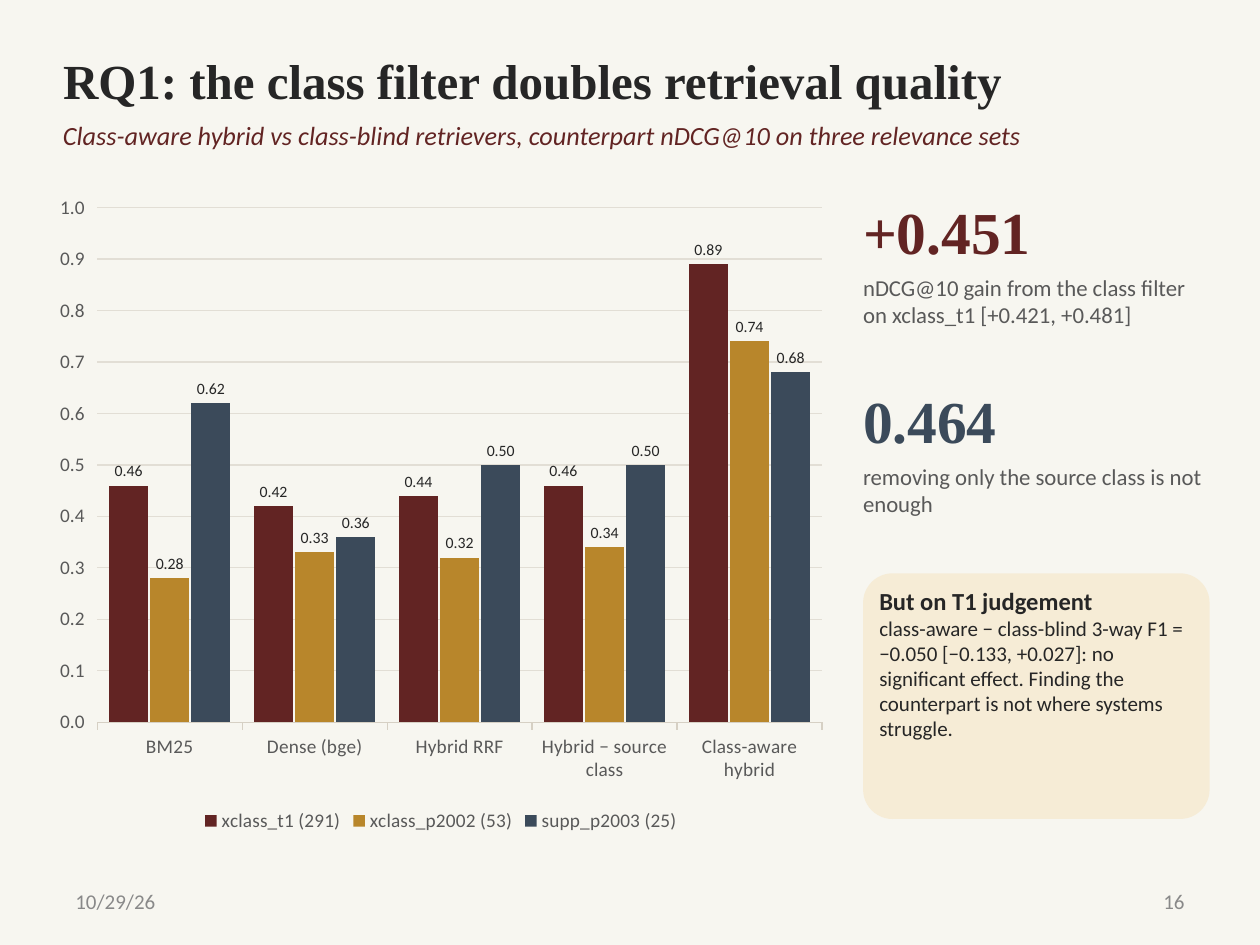
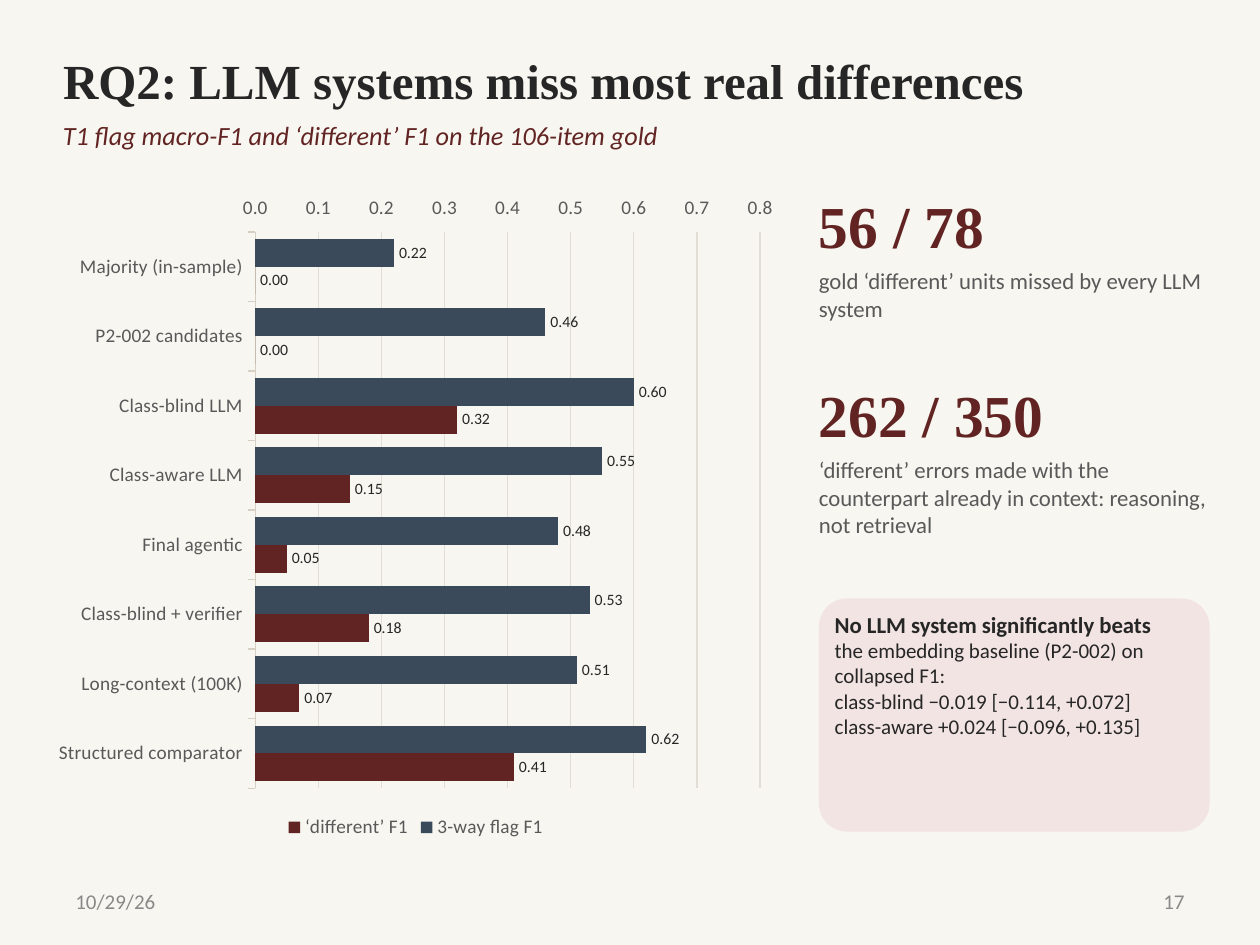
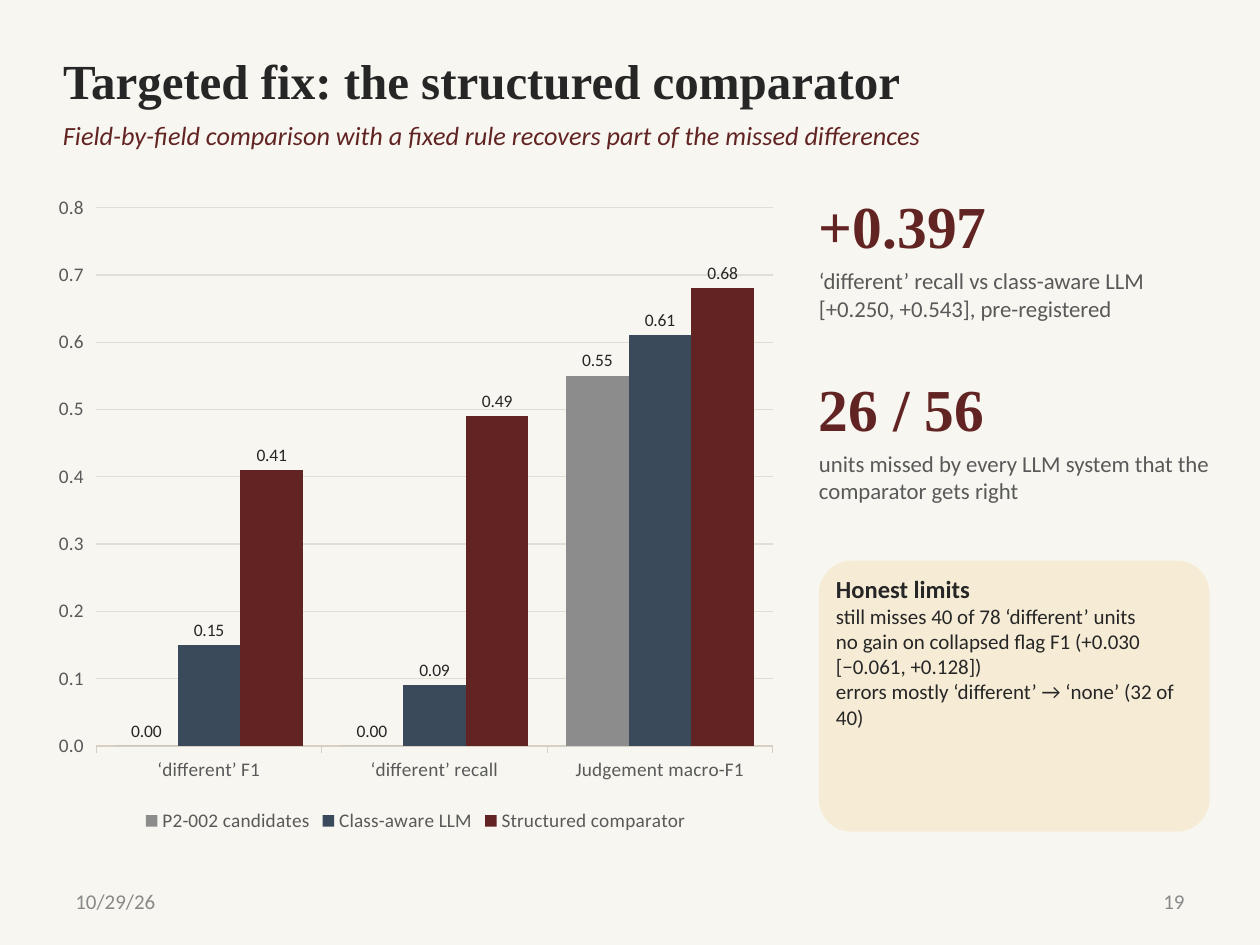
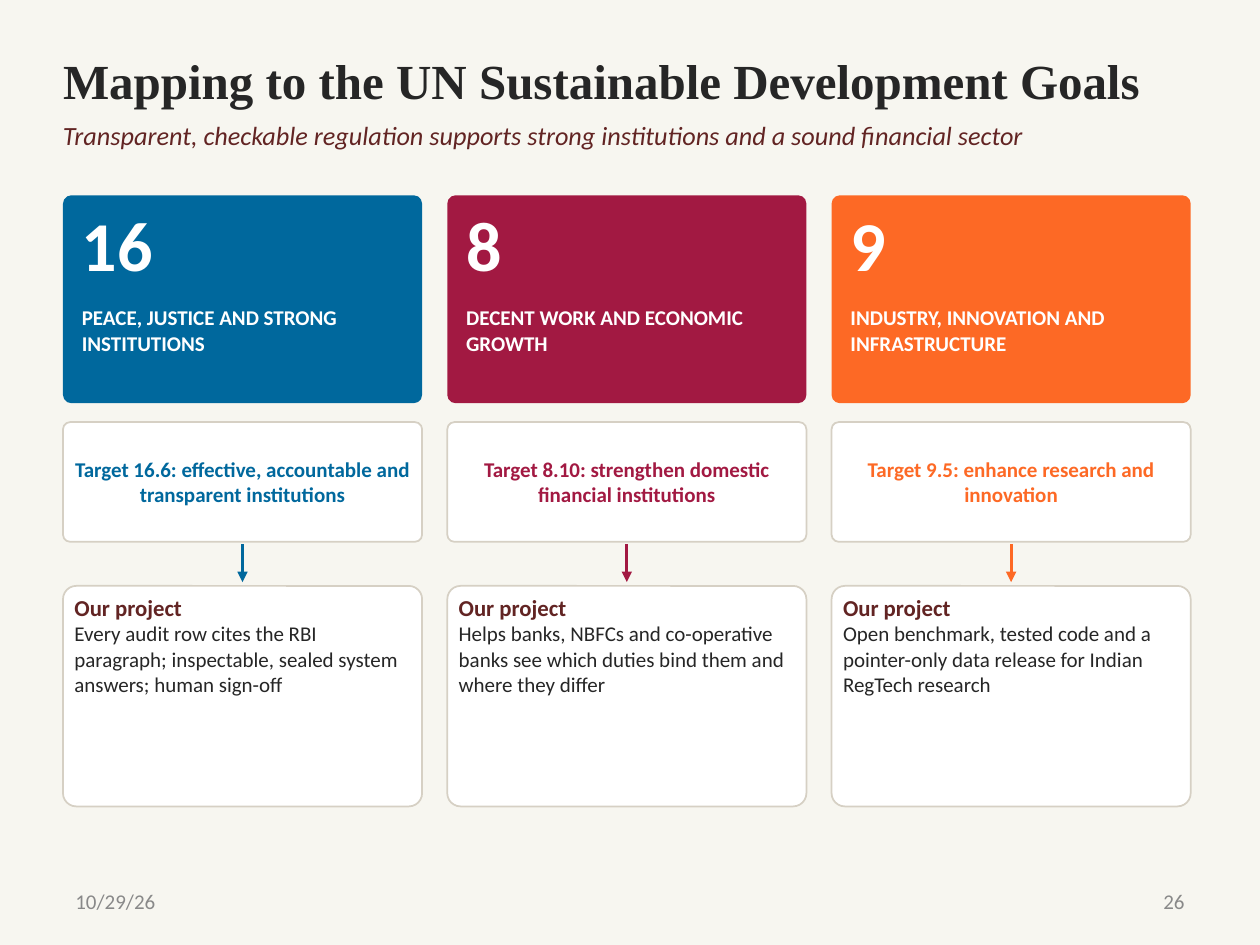
from dataclasses import dataclass

import lxml.etree
import pptx
import pptx.chart.data
import pptx.dml.color
import pptx.enum.chart
import pptx.enum.shapes
import pptx.enum.text
import pptx.oxml.ns
import pptx.util

Inches = pptx.util.Inches
Pt = pptx.util.Pt
RGBColor = pptx.dml.color.RGBColor
Align = pptx.enum.text.PP_ALIGN
Anchor = pptx.enum.text.MSO_ANCHOR
AutoSize = pptx.enum.text.MSO_AUTO_SIZE
ChartType = pptx.enum.chart.XL_CHART_TYPE

PAPER = RGBColor(0xF7, 0xF6, 0xF0)
INK = RGBColor(0x26, 0x26, 0x26)
MUTED = RGBColor(0x59, 0x59, 0x59)
FOOTER_GRAY = RGBColor(0x89, 0x89, 0x89)
BAR_GRAY = RGBColor(0x8C, 0x8C, 0x8C)
MAROON = RGBColor(0x62, 0x24, 0x23)
GOLD = RGBColor(0xB8, 0x86, 0x2B)
SLATE = RGBColor(0x3B, 0x4A, 0x5A)
CREAM = RGBColor(0xF6, 0xEC, 0xD6)
ROSE = RGBColor(0xF1, 0xE4, 0xE2)
BORDER = RGBColor(0xD6, 0xD0, 0xC4)
GRID = RGBColor(0xE2, 0xDE, 0xD5)
WHITE = RGBColor(0xFF, 0xFF, 0xFF)
SDG_BLUE = RGBColor(0x00, 0x68, 0x9D)
SDG_RED = RGBColor(0xA2, 0x19, 0x42)
SDG_ORANGE = RGBColor(0xFD, 0x69, 0x25)

SANS = "Calibri"
SERIF = "Times New Roman"
DATE = "10/29/26"
NO_INSETS = (0, 0)
CARD_INSETS = (0.06, 0.03)
FOOTER_INSETS = (0.1, 0.05)


@dataclass(frozen=True)
class Style:
    size: float
    color: RGBColor
    bold: bool = False
    italic: bool = False
    font: str = SANS


@dataclass(frozen=True)
class Box:
    left: float
    top: float
    width: float
    height: float

    def lengths(self) -> tuple:
        return tuple(Inches(v) for v in (self.left, self.top, self.width, self.height))


@dataclass(frozen=True)
class Series:
    name: str
    values: tuple
    color: RGBColor


@dataclass(frozen=True)
class ChartSpec:
    kind: ChartType
    box: Box
    categories: tuple
    series: tuple
    maximum: float
    gap: int = 60
    overlap: int = 0
    label_size: int = 9


@dataclass(frozen=True)
class Stat:
    top: float
    value: str
    caption: str
    color: RGBColor = MAROON


@dataclass(frozen=True)
class Callout:
    top: float
    height: float
    fill: RGBColor
    heading: str
    lines: tuple
    heading_size: int = 14


@dataclass(frozen=True)
class ResultSlide:
    number: int
    title: str
    subtitle: str
    chart: ChartSpec
    panel_left: float
    stats: tuple
    callout: Callout


@dataclass(frozen=True)
class Goal:
    number: str
    name: str
    target: str
    project: str
    color: RGBColor


TITLE = Style(28, INK, bold=True, font=SERIF)
SUBTITLE = Style(15, MAROON, italic=True)
FOOTER = Style(12, FOOTER_GRAY)
CAPTION = Style(13, MUTED)
BODY = Style(12, INK)

PANEL_RIGHT = 9.6

RESULTS = (
    ResultSlide(
        16,
        "RQ1: the class filter doubles retrieval quality",
        "Class-aware hybrid vs class-blind retrievers, counterpart nDCG@10 on three relevance sets",
        ChartSpec(
            ChartType.COLUMN_CLUSTERED,
            Box(0.35, 1.45, 6.3, 5.2),
            ("BM25", "Dense (bge)", "Hybrid RRF", "Hybrid − source class", "Class-aware hybrid"),
            (
                Series("xclass_t1 (291)", (0.46, 0.42, 0.44, 0.46, 0.89), MAROON),
                Series("xclass_p2002 (53)", (0.28, 0.33, 0.32, 0.34, 0.74), GOLD),
                Series("supp_p2003 (25)", (0.62, 0.36, 0.5, 0.5, 0.68), SLATE),
            ),
            maximum=1,
            overlap=-5,
        ),
        6.85,
        (
            Stat(1.55, "+0.451", "nDCG@10 gain from the class filter on xclass_t1 [+0.421, +0.481]"),
            Stat(3.05, "0.464", "removing only the source class is not enough", SLATE),
        ),
        Callout(
            4.55, 1.95, CREAM, "But on T1 judgement",
            ("class-aware − class-blind 3-way F1 = −0.050 [−0.133, +0.027]: no significant effect. "
             "Finding the counterpart is not where systems struggle.",),
        ),
    ),
    ResultSlide(
        17,
        "RQ2: LLM systems miss most real differences",
        "T1 flag macro-F1 and ‘different’ F1 on the 106-item gold",
        ChartSpec(
            ChartType.BAR_CLUSTERED,
            Box(0.35, 1.45, 5.9, 5.25),
            ("Majority (in-sample)", "P2-002 candidates", "Class-blind LLM", "Class-aware LLM",
             "Final agentic", "Class-blind + verifier", "Long-context (100K)", "Structured comparator"),
            (
                Series("3-way flag F1", (0.22, 0.46, 0.6, 0.55, 0.48, 0.53, 0.51, 0.62), SLATE),
                Series("‘different’ F1", (0, 0, 0.32, 0.15, 0.05, 0.18, 0.07, 0.41), MAROON),
            ),
            maximum=0.8,
            gap=50,
        ),
        6.5,
        (
            Stat(1.5, "56 / 78", "gold ‘different’ units missed by every LLM system"),
            Stat(3, "262 / 350", "‘different’ errors made with the counterpart already in context: "
                                 "reasoning, not retrieval"),
        ),
        Callout(
            4.75, 1.85, ROSE, "No LLM system significantly beats",
            ("the embedding baseline (P2-002) on collapsed F1:",
             "class-blind −0.019 [−0.114, +0.072]",
             "class-aware +0.024 [−0.096, +0.135]"),
            heading_size=13,
        ),
    ),
    ResultSlide(
        19,
        "Targeted fix: the structured comparator",
        "Field-by-field comparison with a fixed rule recovers part of the missed differences",
        ChartSpec(
            ChartType.COLUMN_CLUSTERED,
            Box(0.35, 1.45, 5.9, 5.2),
            ("‘different’ F1", "‘different’ recall", "Judgement macro-F1"),
            (
                Series("P2-002 candidates", (0, 0, 0.55), BAR_GRAY),
                Series("Class-aware LLM", (0.15, 0.09, 0.61), SLATE),
                Series("Structured comparator", (0.41, 0.49, 0.68), MAROON),
            ),
            maximum=0.8,
            label_size=10,
        ),
        6.5,
        (
            Stat(1.5, "+0.397", "‘different’ recall vs class-aware LLM [+0.250, +0.543], pre-registered"),
            Stat(2.95, "26 / 56", "units missed by every LLM system that the comparator gets right"),
        ),
        Callout(
            4.45, 2.15, CREAM, "Honest limits",
            ("still misses 40 of 78 ‘different’ units",
             "no gain on collapsed flag F1 (+0.030 [−0.061, +0.128])",
             "errors mostly ‘different’ → ‘none’ (32 of 40)"),
        ),
    ),
)

GOALS = (
    Goal("16", "PEACE, JUSTICE AND STRONG INSTITUTIONS",
         "Target 16.6: effective, accountable and transparent institutions",
         "Every audit row cites the RBI paragraph; inspectable, sealed system answers; human sign-off",
         SDG_BLUE),
    Goal("8", "DECENT WORK AND ECONOMIC GROWTH",
         "Target 8.10: strengthen domestic financial institutions",
         "Helps banks, NBFCs and co-operative banks see which duties bind them and where they differ",
         SDG_RED),
    Goal("9", "INDUSTRY, INNOVATION AND INFRASTRUCTURE",
         "Target 9.5: enhance research and innovation",
         "Open benchmark, tested code and a pointer-only data release for Indian RegTech research",
         SDG_ORANGE),
)
GOAL_LEFT, GOAL_STEP, GOAL_WIDTH = 0.5, 3.05, 2.85


def write(tf, lines, insets=NO_INSETS, align=Align.LEFT, anchor=Anchor.TOP) -> None:
    tf.word_wrap = True
    tf.vertical_anchor = anchor
    tf.margin_left = tf.margin_right = Inches(insets[0])
    tf.margin_top = tf.margin_bottom = Inches(insets[1])
    for i, (text, style) in enumerate(lines):
        p = tf.paragraphs[0] if i == 0 else tf.add_paragraph()
        p.alignment = align
        r = p.add_run()
        r.text = text
        r.font.name = style.font
        r.font.size = Pt(style.size)
        r.font.bold = style.bold
        r.font.italic = style.italic
        r.font.color.rgb = style.color


def add_text(s, box: Box, text: str, style: Style, **layout) -> None:
    sp = s.shapes.add_textbox(*box.lengths())
    write(sp.text_frame, [(text, style)], **layout)


def add_card(s, box: Box, fill: RGBColor, radius: float, border=None, lines=(), **layout) -> None:
    sp = s.shapes.add_shape(pptx.enum.shapes.MSO_SHAPE.ROUNDED_RECTANGLE, *box.lengths())
    sp.shadow.inherit = False
    sp.adjustments[0] = radius
    sp.fill.solid()
    sp.fill.fore_color.rgb = fill
    if border is None:
        sp.line.fill.background()
    else:
        sp.line.color.rgb = border
        sp.line.width = Pt(1)
    write(sp.text_frame, lines, CARD_INSETS, **layout)


def add_down_arrow(s, x: float, top: float, bottom: float, color: RGBColor) -> None:
    line = s.shapes.add_connector(
        pptx.enum.shapes.MSO_CONNECTOR.STRAIGHT, Inches(x), Inches(top), Inches(x), Inches(bottom))
    line.line.color.rgb = color
    line.line.width = Pt(1.75)
    qn = pptx.oxml.ns.qn
    props = line._element.spPr
    lxml.etree.SubElement(props.find(qn("a:ln")), qn("a:tailEnd"), type="triangle")
    lxml.etree.SubElement(props, qn("a:effectLst"))


def add_chart(s, spec: ChartSpec) -> None:
    data = pptx.chart.data.CategoryChartData()
    data.categories = spec.categories
    for series in spec.series:
        data.add_series(series.name, series.values)
    chart = s.shapes.add_chart(spec.kind, *spec.box.lengths(), data).chart
    chart.has_title = False
    chart.font.name = SANS
    chart.font.size = Pt(11)
    chart.font.color.rgb = MUTED
    chart.has_legend = True
    chart.legend.position = pptx.enum.chart.XL_LEGEND_POSITION.BOTTOM
    chart.legend.include_in_layout = False
    chart.legend.font.size = Pt(11)

    cat = chart.category_axis
    cat.has_major_gridlines = False
    cat.major_tick_mark = pptx.enum.chart.XL_TICK_MARK.OUTSIDE
    cat.format.line.color.rgb = BORDER
    cat.format.line.width = Pt(0.75)
    val = chart.value_axis
    val.minimum_scale, val.maximum_scale, val.major_unit = 0, spec.maximum, 0.1
    val.major_tick_mark = pptx.enum.chart.XL_TICK_MARK.OUTSIDE
    val.tick_labels.number_format = "0.0"
    val.tick_labels.number_format_is_linked = False
    val.format.line.fill.background()
    val.has_major_gridlines = True
    val.major_gridlines.format.line.color.rgb = GRID
    val.major_gridlines.format.line.width = Pt(0.75)
    if spec.kind == ChartType.BAR_CLUSTERED:
        cat.reverse_order = True
        val.tick_label_position = pptx.enum.chart.XL_TICK_LABEL_POSITION.LOW

    plot = chart.plots[0]
    plot.gap_width = spec.gap
    plot.overlap = spec.overlap
    plot.vary_by_categories = False
    for drawn, series in zip(plot.series, spec.series):
        drawn.format.fill.solid()
        drawn.format.fill.fore_color.rgb = series.color
        labels = drawn.data_labels
        labels.show_value = True
        labels.position = pptx.enum.chart.XL_LABEL_POSITION.OUTSIDE_END
        labels.number_format = "0.00"
        labels.number_format_is_linked = False
        labels.font.size = Pt(spec.label_size)
        labels.font.color.rgb = INK


def add_base_slide(prs, number: int, title: str, subtitle: str):
    s = prs.slides.add_slide(prs.slide_layouts.get_by_name("Title Only"))
    sp = s.shapes.title
    sp.left, sp.top, sp.width, sp.height = Box(0.5, 0.32, 9, 0.62).lengths()
    write(sp.text_frame, [(title, TITLE)], insets=(0, 0.05), anchor=Anchor.MIDDLE)
    sp.text_frame.auto_size = AutoSize.SHAPE_TO_FIT_TEXT
    add_text(s, Box(0.5, 0.95, 9, 0.42), subtitle, SUBTITLE)
    for left, text, align in ((0.5, DATE, Align.LEFT), (7.17, str(number), Align.RIGHT)):
        add_text(s, Box(left, 6.95, 2.33, 0.4), text, FOOTER,
                 insets=FOOTER_INSETS, align=align, anchor=Anchor.MIDDLE)
    return s


def add_result_slide(prs, result: ResultSlide) -> None:
    s = add_base_slide(prs, result.number, result.title, result.subtitle)
    add_chart(s, result.chart)
    left, width = result.panel_left, PANEL_RIGHT - result.panel_left
    for stat in result.stats:
        add_text(s, Box(left, stat.top, width, 0.62), stat.value,
                 Style(34, stat.color, bold=True, font=SERIF))
        add_text(s, Box(left, stat.top + 0.62, width, 0.5), stat.caption, CAPTION)
    note = result.callout
    heading = (note.heading, Style(note.heading_size, INK, bold=True))
    add_card(s, Box(left, note.top, width, note.height), note.fill, 0.12,
             lines=[heading] + [(line, BODY) for line in note.lines])


def add_goal(s, left: float, goal: Goal) -> None:
    add_card(s, Box(left, 1.55, GOAL_WIDTH, 1.65), goal.color, 0.04)
    add_text(s, Box(left + 0.15, 1.6, 0.9, 0.85), goal.number, Style(40, WHITE, bold=True))
    add_text(s, Box(left + 0.15, 2.42, 2.6, 0.75), goal.name, Style(12, WHITE, bold=True))
    add_card(s, Box(left, 3.35, GOAL_WIDTH, 0.95), WHITE, 0.06, BORDER,
             [(goal.target, Style(12, goal.color, bold=True))],
             align=Align.CENTER, anchor=Anchor.MIDDLE)
    add_down_arrow(s, left + GOAL_WIDTH / 2, 4.32, 4.62, goal.color)
    add_card(s, Box(left, 4.65, GOAL_WIDTH, 1.75), WHITE, 0.06, BORDER,
             [("Our project", Style(13, MAROON, bold=True)), (goal.project, BODY)])


def main() -> None:
    prs = pptx.Presentation()
    prs.slide_width, prs.slide_height = Inches(10), Inches(7.5)
    fill = prs.slide_master.background.fill
    fill.solid()
    fill.fore_color.rgb = PAPER
    for result in RESULTS:
        add_result_slide(prs, result)
    s = add_base_slide(
        prs, 26, "Mapping to the UN Sustainable Development Goals",
        "Transparent, checkable regulation supports strong institutions and a sound financial sector")
    for i, goal in enumerate(GOALS):
        add_goal(s, GOAL_LEFT + i * GOAL_STEP, goal)
    prs.save("out.pptx")


if __name__ == "__main__":
    main()
